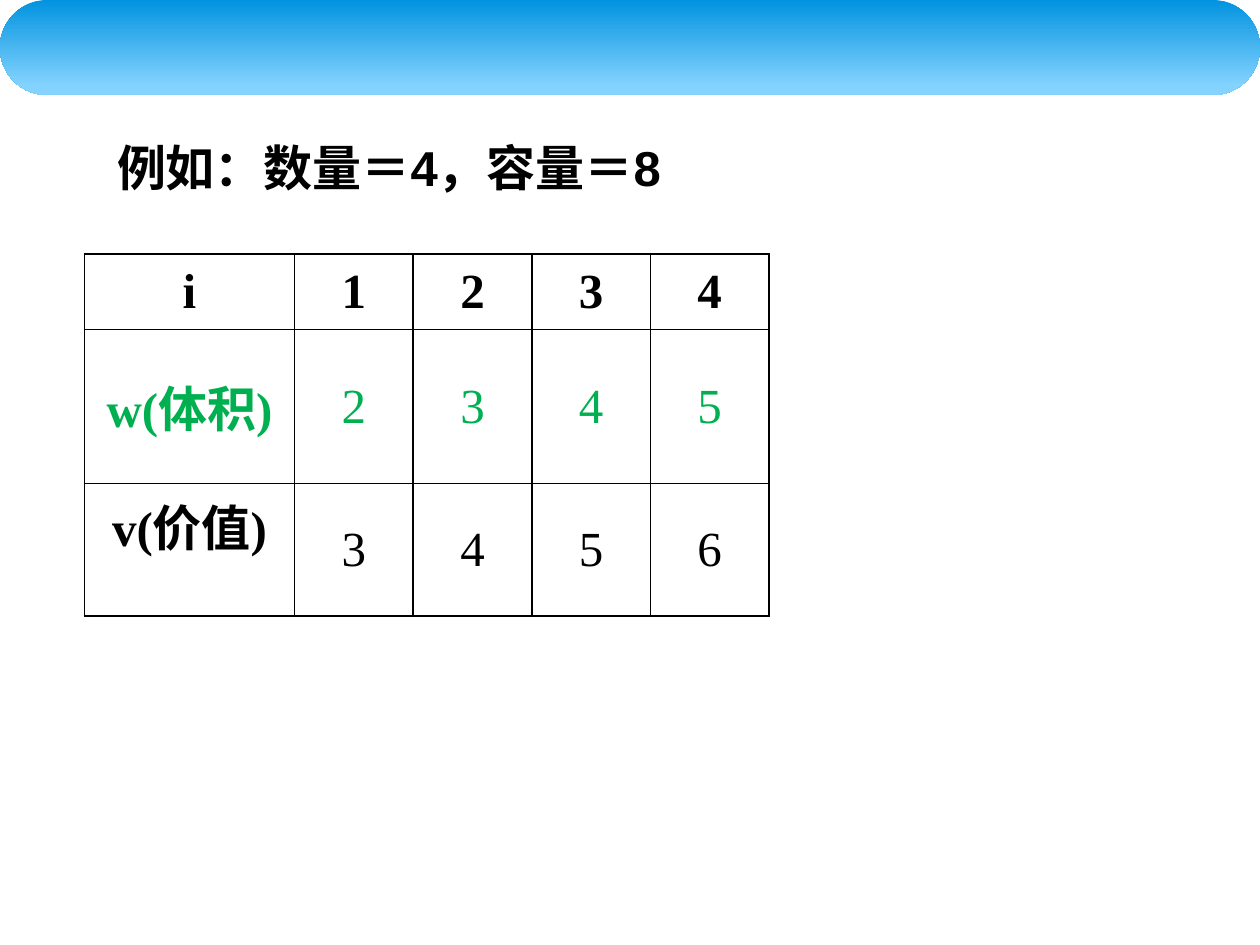
from lxml.etree import SubElement
from pptx import Presentation
from pptx.dml.color import RGBColor
from pptx.enum.shapes import MSO_SHAPE as SHAPE
from pptx.enum.text import MSO_ANCHOR as ANCHOR, MSO_AUTO_SIZE as AUTO, PP_ALIGN as ALIGN
from pptx.oxml.ns import qn
from pptx.util import Cm, Pt

BLACK = RGBColor(0x00, 0x00, 0x00)
GREEN = RGBColor(0x00, 0xB0, 0x50)
BAR_DARK = RGBColor(0x02, 0x93, 0xE0)
BAR_LIGHT = RGBColor(0x83, 0xD3, 0xFE)


def format_run(r, font, color, bold):
    r.font.name = font
    r.font.size = Pt(28)
    r.font.bold = bold
    r.font.color.rgb = color


def add_borders(cell):
    tcPr = cell._tc.get_or_add_tcPr()
    for i, side in enumerate(("a:lnL", "a:lnR", "a:lnT", "a:lnB")):
        ln = tcPr.makeelement(qn(side), {"w": str(Pt(1))})
        fill = SubElement(ln, qn("a:solidFill"))
        SubElement(fill, qn("a:srgbClr"), val=str(BLACK))
        tcPr.insert(i, ln)


prs = Presentation()
prs.slide_width, prs.slide_height = Cm(25.4), Cm(19.05)
s = prs.slides.add_slide(prs.slide_layouts[6])

# Header bar
sp = s.shapes.add_shape(SHAPE.ROUNDED_RECTANGLE, 0, 0, prs.slide_width, Cm(1.92))
sp.adjustments[0] = 0.5
sp.shadow.inherit = False
sp.line.fill.background()
sp.fill.gradient()
sp.fill.gradient_angle = 270
for stop, pos, color in zip(sp.fill.gradient_stops, (0, 0.9), (BAR_DARK, BAR_LIGHT)):
    stop.position = pos
    stop.color.rgb = color

# Item table
rows = [
    ("i", "1", "2", "3", "4"),
    ("w(体积)", "2", "3", "4", "5"),
    ("v(价值)", "3", "4", "5", "6"),
]
widths = [Cm(4.24)] + [Cm(2.39)] * 4
heights = [Cm(1.52), Cm(2.67), Cm(2.67)]
table = s.shapes.add_table(
    len(rows), len(widths), Cm(1.7), Cm(5.12), sum(widths), sum(heights)
).table
for col, width in zip(table.columns, widths):
    col.width = width
for row, height in zip(table.rows, heights):
    row.height = height

for i, values in enumerate(rows):
    for j, value in enumerate(values):
        cell = table.cell(i, j)
        cell.fill.background()
        add_borders(cell)
        cell.vertical_anchor = ANCHOR.TOP if (i, j) == (2, 0) else ANCHOR.MIDDLE
        p = cell.text_frame.paragraphs[0]
        p.text = value
        p.alignment = ALIGN.CENTER
        format_run(p.runs[0], "Times New Roman", GREEN if i == 1 else BLACK, i == 0 or j == 0)

# Example line
tf = s.shapes.add_textbox(Cm(2.11), Cm(2.64), Cm(18.21), Cm(1.45)).text_frame
tf.word_wrap = True
tf.auto_size = AUTO.SHAPE_TO_FIT_TEXT
tf.vertical_anchor = ANCHOR.MIDDLE
tf.text = "例如：数量＝4，容量＝8"
format_run(tf.paragraphs[0].runs[0], "Arial", BLACK, True)

prs.save("out.pptx")
